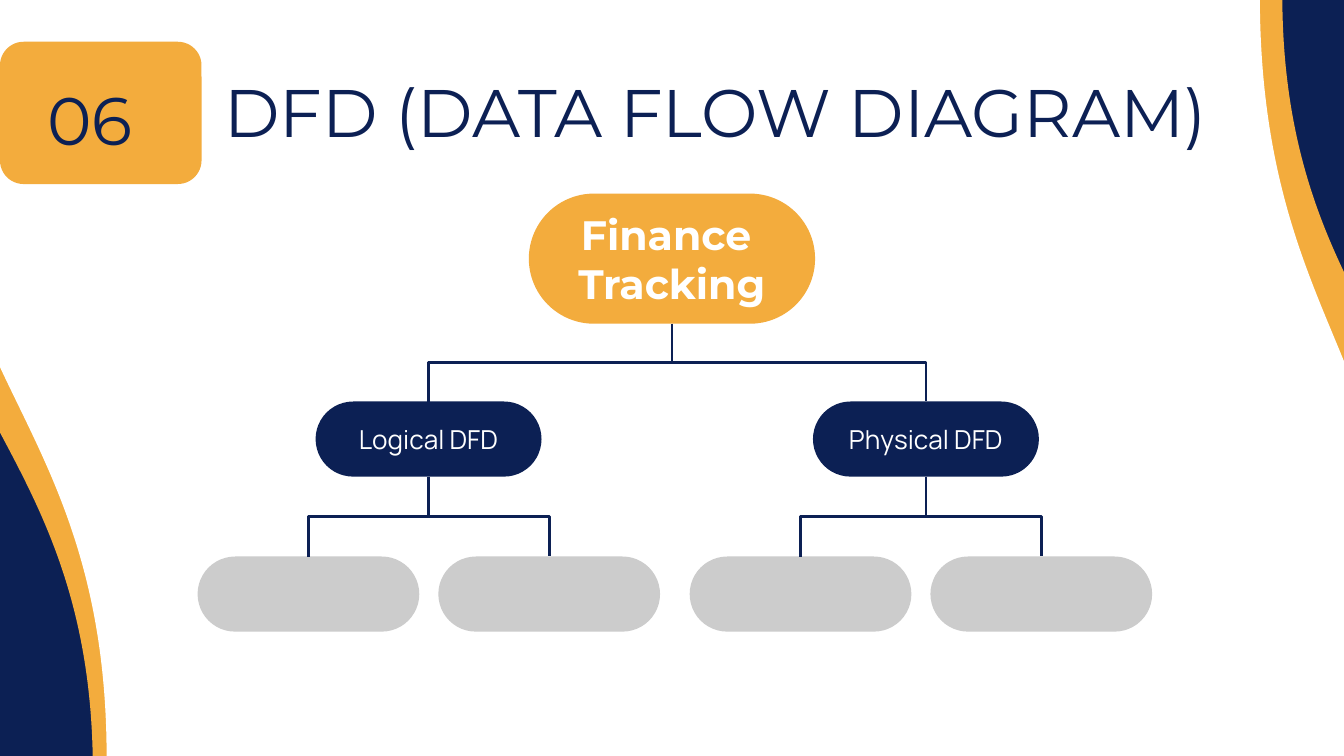
from lxml import etree
from pptx import Presentation
from pptx.dml.color import RGBColor
from pptx.enum.shapes import MSO_CONNECTOR, MSO_SHAPE
from pptx.enum.text import MSO_ANCHOR, PP_ALIGN
from pptx.oxml.ns import qn
from pptx.util import Cm, Pt

ELBOW = MSO_CONNECTOR.ELBOW
WAVE = MSO_SHAPE.FLOWCHART_DOCUMENT
ROUNDED = MSO_SHAPE.ROUNDED_RECTANGLE
MIDDLE = MSO_ANCHOR.MIDDLE
LEFT, CENTER = PP_ALIGN.LEFT, PP_ALIGN.CENTER

NAVY = RGBColor(0x0C, 0x20, 0x54)
ORANGE = RGBColor(0xF3, 0xAC, 0x3D)
WHITE = RGBColor(0xFF, 0xFF, 0xFF)
GREY = RGBColor(0xCC, 0xCC, 0xCC)

# left, top, width, height in cm, rotation, colour
WAVES = [
    (-0.43, -0.97, 14.43, 16.66, 90, ORANGE),
    (11.99, -1.22, 14.43, 16.66, 270, ORANGE),
    (12.67, 0.61, 14.43, 13, 270, WHITE),
    (-0.71, -1.04, 14.96, 15.75, 90, WHITE),
]

ROOT_X, ROOT_TOP, ROOT_W, ROOT_H = 12.7, 3.66, 5.41, 2.46
BRANCH_TOP, BRANCH_W = 7.59, 4.27
LEAF_TOP, LEAF_W, LEAF_STEP = 10.52, 4.19, 4.55
NODE_H = 1.42
# label, centre of the branch, centre of its first leaf
BRANCHES = [("Logical DFD", 8.1, 5.83), ("Physical DFD", 17.5, 15.13)]


def write(sp, text, *, size, font="Montserrat", color=NAVY, bold=False, align=LEFT):
    tf = sp.text_frame
    tf.word_wrap = True
    tf.vertical_anchor = MIDDLE
    tf.margin_left = tf.margin_right = tf.margin_top = tf.margin_bottom = Cm(0.25)
    p = tf.paragraphs[0]
    p.text = text
    p.alignment = align
    for r in p.runs:
        r.font.size = Pt(size)
        r.font.name = font
        r.font.color.rgb = color
        r.font.bold = bold


def add_filled(s, kind, left, top, width, height, color):
    sp = s.shapes.add_shape(kind, Cm(left), Cm(top), Cm(width), Cm(height))
    sp.shadow.inherit = False
    sp.fill.solid()
    sp.fill.fore_color.rgb = color
    sp.line.fill.background()
    return sp


def add_pill(s, center_x, top, width, height, color):
    sp = add_filled(s, ROUNDED, center_x - width / 2, top, width, height, color)
    sp.adjustments[0] = 0.5
    return sp


def add_label(s, left, top, width, height, text):
    sp = s.shapes.add_textbox(Cm(left), Cm(top), Cm(width), Cm(height))
    write(sp, text, size=36)


def add_branch_line(s, parent_x, parent_bottom, child_x, child_top):
    """Elbow that leaves vertically: a horizontal one turned by 270 degrees."""
    mid_x, mid_y = (parent_x + child_x) / 2, (parent_bottom + child_top) / 2
    half_w = (child_top - parent_bottom) / 2
    half_h = abs(child_x - parent_x) / 2
    if child_x > parent_x:
        half_w = -half_w
    line = s.shapes.add_connector(ELBOW, Cm(mid_x - half_w), Cm(mid_y - half_h),
                                  Cm(mid_x + half_w), Cm(mid_y + half_h))
    line.line.color.rgb = NAVY
    line.line.width = Pt(1.5)
    properties = line._element.spPr
    properties.find(qn("a:xfrm")).set("rot", str(270 * 60000))
    etree.SubElement(properties, qn("a:effectLst"))


def add_backdrop(s):
    s.background.fill.solid()
    s.background.fill.fore_color.rgb = NAVY
    for left, top, width, height, rotation, color in WAVES:
        sp = add_filled(s, WAVE, left, top, width, height, color)
        sp.rotation = rotation


def add_tree(s):
    root = add_pill(s, ROOT_X, ROOT_TOP, ROOT_W, ROOT_H, ORANGE)
    write(root, "Finance \vTracking", size=22, color=WHITE, bold=True, align=CENTER)
    for label, branch_x, first_leaf_x in BRANCHES:
        branch = add_pill(s, branch_x, BRANCH_TOP, BRANCH_W, NODE_H, NAVY)
        write(branch, label, size=14, font="Manrope", color=WHITE, align=CENTER)
        add_branch_line(s, ROOT_X, ROOT_TOP + ROOT_H, branch_x, BRANCH_TOP)
        for leaf_x in (first_leaf_x, first_leaf_x + LEAF_STEP):
            add_pill(s, leaf_x, LEAF_TOP, LEAF_W, NODE_H, GREY)
            add_branch_line(s, branch_x, BRANCH_TOP + NODE_H, leaf_x, LEAF_TOP)


def main():
    prs = Presentation()
    prs.slide_width, prs.slide_height = Cm(25.4), Cm(14.29)
    s = prs.slides.add_slide(prs.slide_layouts[6])
    add_backdrop(s)
    add_label(s, 3.99, 1.42, 21.41, 1.35, "DFD (DATA FLOW DIAGRAM)")
    add_tree(s)
    add_filled(s, ROUNDED, 0, 0.79, 3.81, 2.69, ORANGE)
    add_label(s, 0.64, 0.79, 11.68, 2.92, "06")
    prs.save("out.pptx")


if __name__ == "__main__":
    main()
